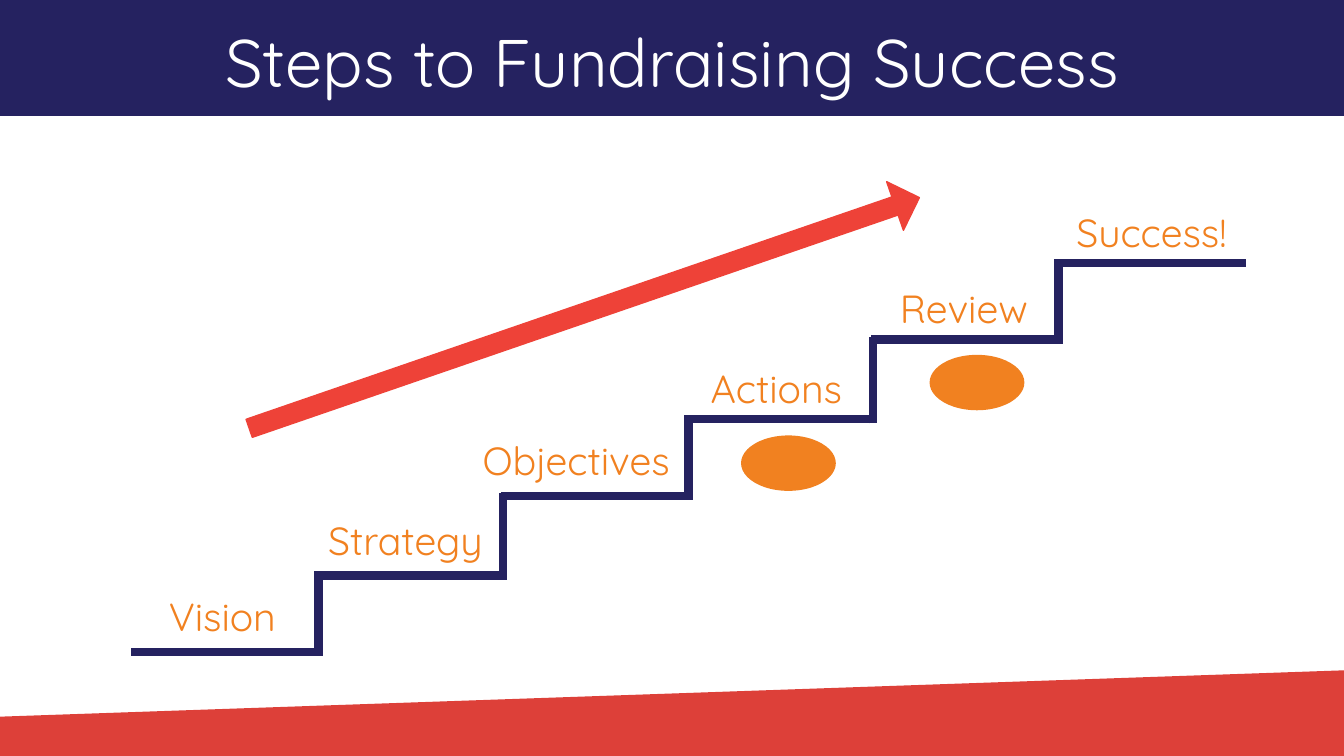
from dataclasses import dataclass

import lxml.etree
import pptx
import pptx.dml.color
import pptx.enum.shapes
import pptx.enum.text
import pptx.oxml.ns
import pptx.util

Inches = pptx.util.Inches
SHAPE = pptx.enum.shapes.MSO_SHAPE
CONNECTOR = pptx.enum.shapes.MSO_CONNECTOR


@dataclass(frozen=True)
class Theme:
    navy: str = "252260"
    orange: str = "F18120"
    red: str = "EE4238"
    ground: str = "DD4039"
    white: str = "FFFFFF"
    font: str = "Quicksand"
    title_size: int = 48
    label_size: int = 28
    stair_width: int = 6


@dataclass(frozen=True)
class Box:
    left: float
    top: float
    width: float
    height: float

    def emu(self) -> tuple:
        return tuple(Inches(v) for v in (self.left, self.top, self.width, self.height))


@dataclass(frozen=True)
class Label:
    text: str
    left: float
    top: float
    width: float


THEME = Theme()
SLIDE_W, SLIDE_H = 13.33, 7.5
LABEL_H = 0.57

LABELS = [
    Label("Vision", 1.25, 5.83, 1.91),
    Label("Strategy", 3.01, 5.07, 2.02),
    Label("Objectives", 4.57, 4.28, 2.29),
    Label("Actions", 6.67, 3.57, 2.06),
    Label("Review", 8.64, 2.77, 1.84),
    Label("Success!", 10.31, 2.02, 2.22),
]

MARKERS = [Box(7.35, 4.32, 0.94, 0.55), Box(9.22, 3.52, 0.94, 0.55)]

# Each elbow covers two treads; a straight riser joins it to the next elbow.
ELBOW_COUNT = 3
ELBOW_W, ELBOW_H = 3.72, 0.76
ELBOW_X, ELBOW_Y = 1.3, 6.47
RISER_X, RISER_Y, RISER_H = 4.99, 5.75, 0.86
FLIGHT_W, FLIGHT_H = 3.67, 1.55


def rgb(color: str) -> pptx.dml.color.RGBColor:
    return pptx.dml.color.RGBColor.from_string(color)


def paint(sp, color: str) -> None:
    sp.shadow.inherit = False
    sp.fill.solid()
    sp.fill.fore_color.rgb = rgb(color)
    sp.line.fill.background()


def add_filled(s, kind, box: Box, color: str):
    sp = s.shapes.add_shape(kind, *box.emu())
    paint(sp, color)
    return sp


def add_ground(s) -> None:
    builder = s.shapes.build_freeform(Inches(0), Inches(7.11))
    corners = [(SLIDE_W, 6.65), (SLIDE_W, SLIDE_H), (0, SLIDE_H)]
    builder.add_line_segments([(Inches(x), Inches(y)) for x, y in corners])
    paint(builder.convert_to_shape(), THEME.ground)


def write(sp, text: str, size: int, color: str) -> None:
    """Put one centred run into a shape."""
    tf = sp.text_frame
    tf.word_wrap = True
    p = tf.paragraphs[0]
    p.alignment = pptx.enum.text.PP_ALIGN.CENTER
    r = p.add_run()
    r.text = text
    r.font.name = THEME.font
    r.font.size = pptx.util.Pt(size)
    r.font.color.rgb = rgb(color)


def add_label(s, label: Label) -> None:
    box = Box(label.left, label.top, label.width, LABEL_H)
    write(s.shapes.add_textbox(*box.emu()), label.text, THEME.label_size, THEME.orange)


def add_stair_line(s, kind, x1: float, y1: float, x2: float, y2: float) -> None:
    """Draw a stair line with square corners."""
    qn = pptx.oxml.ns.qn
    line = s.shapes.add_connector(kind, Inches(x1), Inches(y1), Inches(x2), Inches(y2))
    line.line.color.rgb = rgb(THEME.navy)
    line.line.width = pptx.util.Pt(THEME.stair_width)
    properties = line.element.find(qn("p:spPr"))
    lxml.etree.SubElement(properties.find(qn("a:ln")), qn("a:miter"), lim="800000")
    lxml.etree.SubElement(properties, qn("a:effectLst"))


def add_staircase(s) -> None:
    for i in range(ELBOW_COUNT):
        x, y = ELBOW_X + i * FLIGHT_W, ELBOW_Y - i * FLIGHT_H
        add_stair_line(s, CONNECTOR.ELBOW, x, y, x + ELBOW_W, y - ELBOW_H)
    for i in range(ELBOW_COUNT - 1):
        x, y = RISER_X + i * FLIGHT_W, RISER_Y - i * FLIGHT_H
        add_stair_line(s, CONNECTOR.STRAIGHT, x, y, x, y - RISER_H)


def add_growth_arrow(s) -> None:
    arrow = add_filled(s, SHAPE.RIGHT_ARROW, Box(2.28, 2.85, 7.03, 0.51), THEME.red)
    arrow.rotation = 341
    arrow.adjustments[0] = 0.37
    arrow.adjustments[1] = 0.5
    arrow.line.color.rgb = rgb(THEME.red)
    arrow.line.width = pptx.util.Pt(1)


def add_title(s) -> None:
    """Set the title above the header band in the drawing order."""
    add_filled(s, SHAPE.RECTANGLE, Box(0, 0, SLIDE_W, 1.15), THEME.navy)
    title = s.shapes.title
    title.left, title.top, title.width, title.height = Box(0, 0.15, SLIDE_W, 0.91).emu()
    title.text_frame.vertical_anchor = pptx.enum.text.MSO_ANCHOR.TOP
    title.text_frame.auto_size = pptx.enum.text.MSO_AUTO_SIZE.NONE
    write(title, "Steps to Fundraising Success", THEME.title_size, THEME.white)
    s.shapes.element.append(title.element)


def main() -> None:
    prs = pptx.Presentation()
    prs.slide_width, prs.slide_height = Inches(SLIDE_W), Inches(SLIDE_H)
    s = prs.slides.add_slide(prs.slide_layouts.get_by_name("Title Only"))
    add_ground(s)
    add_title(s)
    for label in LABELS:
        add_label(s, label)
    add_growth_arrow(s)
    add_staircase(s)
    for marker in MARKERS:
        add_filled(s, SHAPE.OVAL, marker, THEME.orange)
    prs.save("out.pptx")


if __name__ == "__main__":
    main()
